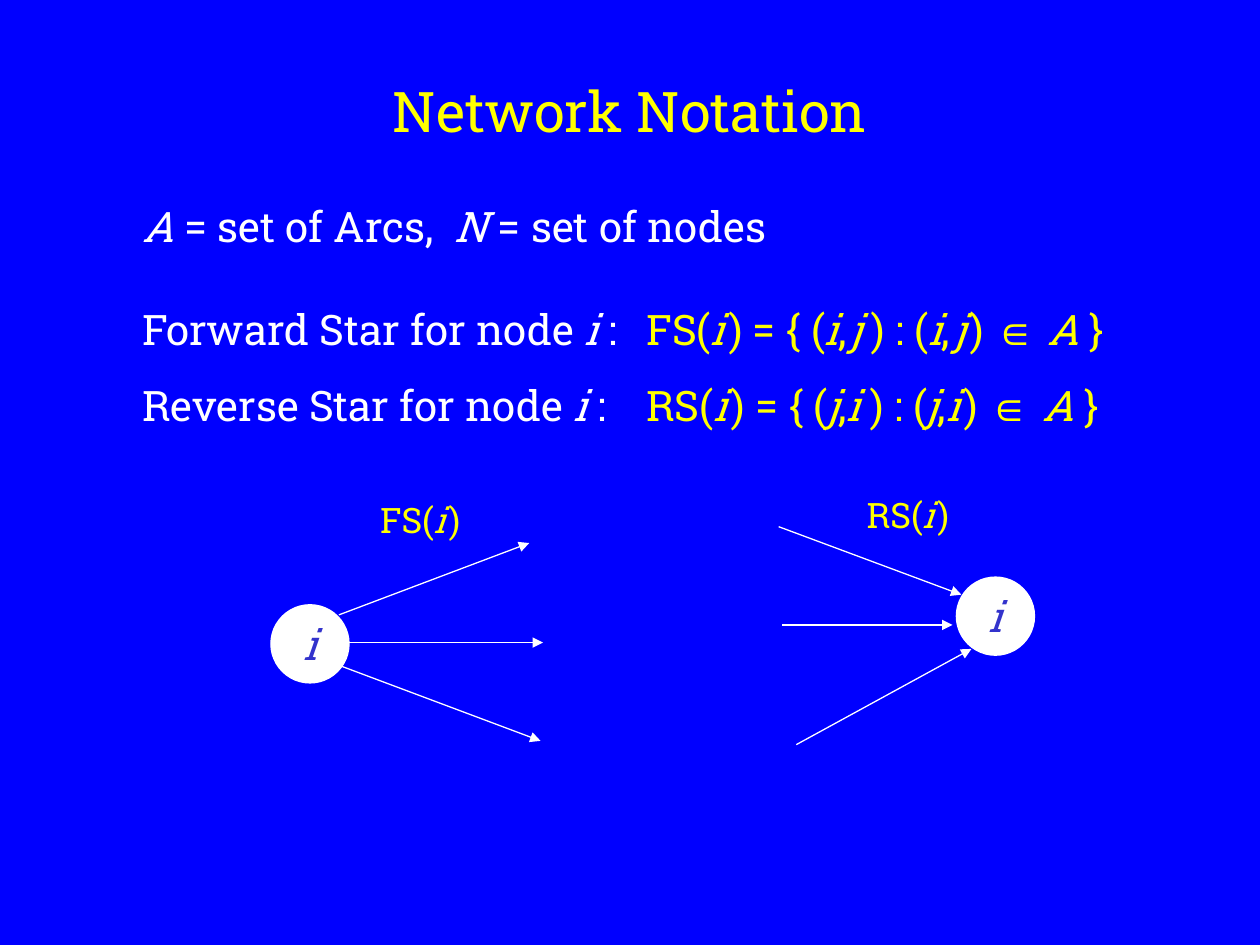
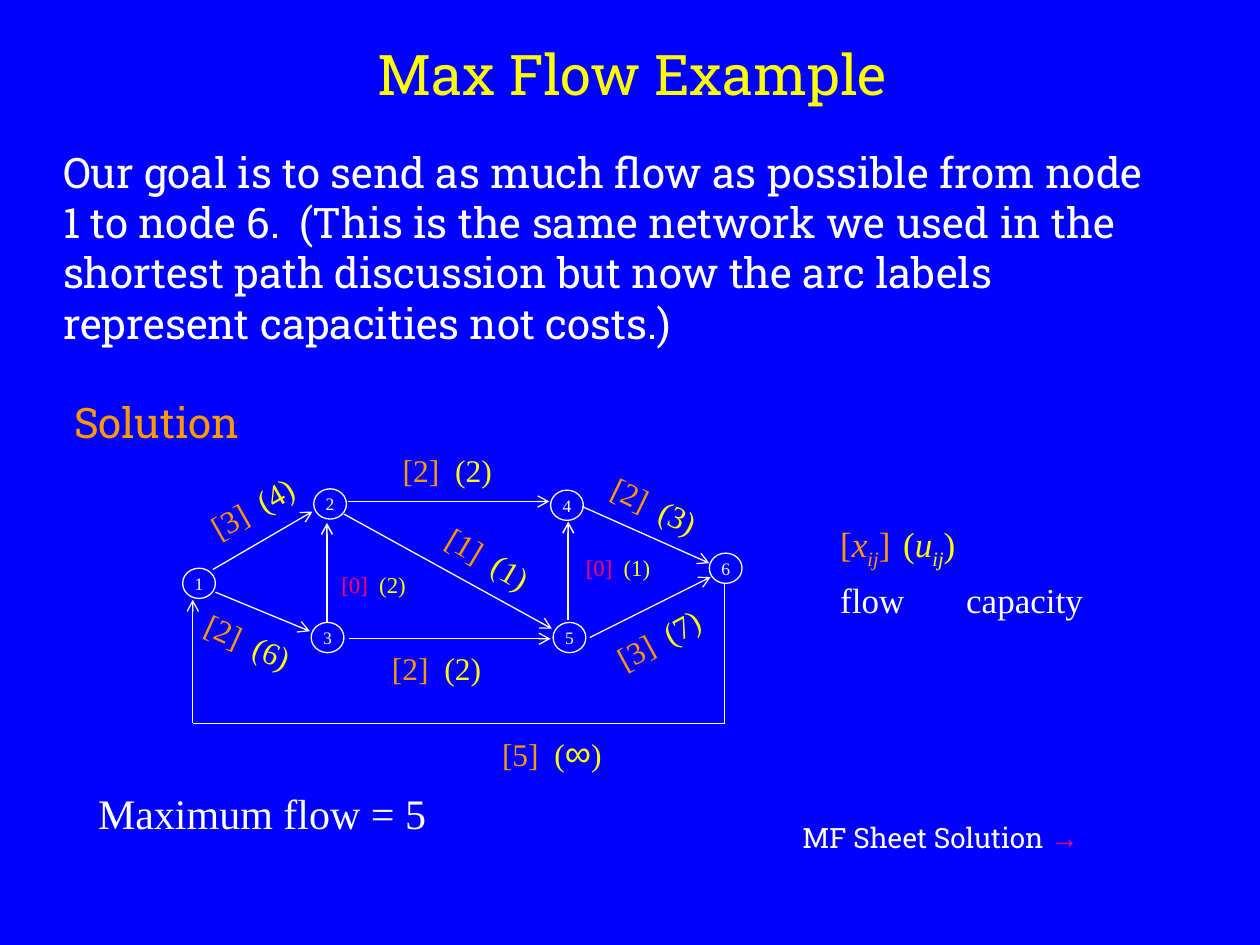
import pptx
import pptx.util
import pptx.dml.color
import pptx.enum.shapes
import pptx.enum.text
import pptx.oxml.ns
import lxml.etree

HUES = {"blue": "0000FF", "white": "FFFFFF", "gold": "FFFF00",
        "orange": "FF9900", "pink": "FF0066", "ink": "3333CC"}
RGB = {name: pptx.dml.color.RGBColor.from_string(code) for name, code in HUES.items()}
SLAB, TIMES, ARIAL = "Roboto Slab", "Times New Roman", "Arial"
MID = pptx.enum.text.PP_ALIGN.CENTER
OVAL = pptx.enum.shapes.MSO_SHAPE.OVAL
STRAIGHT = pptx.enum.shapes.MSO_CONNECTOR.STRAIGHT
qn = pptx.oxml.ns.qn

deck = pptx.Presentation()
deck.slide_width = pptx.util.Inches(10)
deck.slide_height = pptx.util.Inches(7.5)
# The grid has 20 columns and 15 rows of square cells.
CELL = deck.slide_width // 20


def fill(shape, at, lines, size, font=SLAB, align=None, gap=0, stops=(), wrap=True):
    """Place a shape on the grid and write lines of (text, hue, size, font) parts.

    Underscores in a text switch italics on and off.
    """
    shape.left, shape.top, shape.width, shape.height = [int(CELL * v) for v in at]
    frame = shape.text_frame
    frame.word_wrap = wrap
    frame.auto_size = pptx.enum.text.MSO_AUTO_SIZE.NONE
    for row, parts in enumerate(lines):
        para = frame.add_paragraph() if row else frame.paragraphs[0]
        props = para._p.get_or_add_pPr()
        props.set("marL", "0")
        props.set("indent", "0")
        lxml.etree.SubElement(props, qn("a:buNone"))
        if row < len(stops) and stops[row]:
            tabs = lxml.etree.SubElement(props, qn("a:tabLst"))
            lxml.etree.SubElement(tabs, qn("a:tab"), pos=str(int(CELL * stops[row])), algn="l")
        para.space_before = pptx.util.Pt(gap if row else 0)
        if align:
            para.alignment = align
        for text, hue, *own in parts:
            for turn, bit in enumerate(text.split("_")):
                if bit:
                    run = para.add_run()
                    run.text = bit
                    run.font.size = pptx.util.Pt(own[0] if own else size)
                    run.font.name = own[1] if len(own) > 1 else font
                    run.font.italic = turn % 2 == 1
                    run.font.color.rgb = RGB[hue]
    return frame


def link(page, ends, head=None, width=0.75):
    wire = page.shapes.add_connector(STRAIGHT, *[int(CELL * v) for v in ends])
    wire.line.color.rgb = RGB["white"]
    wire.line.width = pptx.util.Pt(width)
    if head:
        lxml.etree.SubElement(wire.line._get_or_add_ln(), qn("a:tailEnd"), type=head)
    lxml.etree.SubElement(wire._element.spPr, qn("a:effectLst"))


# Shared background, titles and circles
back = deck.slide_master.background.fill
back.solid()
back.fore_color.rgb = RGB["blue"]

TITLES = [("Network Notation", (1.5, 0.94, 17, 1.62)),
          ("Max Flow Example", (1.54, 0.48, 17, 1.36))]
# Each circle: centre column, centre row, label
CIRCLES = [
    [(4.92, 10.22, "_i_"), (15.8, 9.78, "_i_")],
    [(3.16, 9.26, "1"), (5.24, 8, "2"), (5.2, 10.12, "3"),
     (9, 8.02, "4"), (9.04, 10.12, "5"), (11.52, 9.02, "6")],
]
# Look of the circles: width, height, fill, text hue, size, font
LOOKS = [(1.24, 1.24, "white", "ink", 24, SLAB),
         (0.52, 0.48, "blue", "white", 10, TIMES)]
pages = []
for (title, at), spots, look in zip(TITLES, CIRCLES, LOOKS):
    page = deck.slides.add_slide(deck.slide_layouts[1])
    pages.append(page)
    fill(page.shapes.title, at, [[(title, "gold")]], 32, align=MID)
    wide, high, tint, hue, size, font = look
    for x, y, name in spots:
        node = page.shapes.add_shape(OVAL, 0, 0, 0, 0)
        node.shadow.inherit = False
        node.fill.solid()
        node.fill.fore_color.rgb = RGB[tint]
        node.line.color.rgb = RGB["white"]
        node.line.width = pptx.util.Pt(0.75)
        fill(node, (x - wide / 2, y - high / 2, wide, high), [[(name, hue)]],
             size, font, MID, wrap=False)
stars, flow = pages

# Network Notation
lines = [[("_A_ = set of Arcs,  _N_ = set of nodes", "white")]]
for kind, short, arc, thin in [("Forward", "FS", "_i_,| _j _", 10),
                               ("Reverse", "RS", "_j_,|_i _", 0)]:
    first, last = arc.split("|")
    space = [(" ", "gold", thin)] if thin else []
    lines.append(
        [(f"{kind} Star for node _i _:\t", "white"), (f"{short}(_i_", "gold"),
         (" ", "gold", 12), (f") = {{ ({first}", "gold"), *space,
         (last.lstrip(), "gold"), (f") : ({first}", "gold"), *space,
         (last.strip().replace(" ", ""), "gold"), (" ", "gold", 12), (") ", "gold"),
         ("∈ ", "gold", 24, ARIAL), ("_A_ }", "gold")])
frame = fill(stars.placeholders[1], (2.06, 3.08, 16.82, 3.86), lines, 24,
             gap=15, stops=(0, 7.86, 7.86))
frame.paragraphs[0].space_after = pptx.util.Pt(15)

for ends in [(5.38, 9.76, 8.4, 8.62), (5.5, 10.2, 8.62, 10.2), (5.38, 10.56, 8.58, 11.76),
             (12.36, 8.36, 15.26, 9.44), (12.42, 9.92, 15.12, 9.92),
             (12.64, 11.82, 15.42, 10.3)]:
    link(stars, ends, "triangle")

for short, x, y in [("FS", 5.6, 7.82), ("RS", 13.34, 7.74)]:
    fill(stars.shapes.add_textbox(0, 0, 0, 0), (x, y, 2.14, 0.88),
         [[(f"{short}(_i_", "gold"), (" ", "gold", 10), (")", "gold")]], 20, align=MID)

# Max Flow Example
fill(flow.placeholders[1], (0.8, 2.22, 17.82, 3.4),
     [[("Our goal is to send as much flow as possible from node 1 to node 6.", "white"),
       ("  ", "white", 22),
       ("(This is the same network we used in the shortest path discussion "
        "but now the arc labels represent capacities not costs.)", "white")]], 24)

for ends in [(3.42, 9.4, 4.92, 10.02), (3.38, 9.04, 4.96, 8.12), (5.52, 7.96, 8.72, 7.96),
             (5.46, 8.16, 8.76, 9.98), (9.24, 8.04, 11.26, 8.94),
             (5.54, 10.14, 8.74, 10.14), (9.36, 10.12, 11.28, 9.16)]:
    link(flow, ends, "arrow")
for ends in [(9.02, 9.84, 9.02, 8.28), (5.19, 9.88, 5.19, 8.3)]:
    link(flow, ends, "arrow", 0.88)

# Return arc from node 6 to node 1
bends = [(11.5, 9.26), (11.5, 11.48), (3.06, 11.48), (3.06, 9.52)]
for start, end in zip(bends, bends[1:]):
    link(flow, start + end, "arrow" if end == bends[-1] else None)

# Arc labels: centre column, centre row, turn, flow, capacity
for x, y, turn, sent, cap in [
        (7.1, 7.46, 0, 2, "2"), (10.45, 10.14, -28.6, 3, "7"),
        (10.39, 8.02, 25.7, 2, "3"), (6.93, 10.6, 0, 2, "2"),
        (7.75, 8.86, 30.7, 1, "1"), (4, 8.06, -29.6, 3, "4"),
        (3.94, 10.18, 24.3, 2, "6"), (8.76, 11.93, 0, 5, "∞"),
        (9.81, 9, 0, 0, "1"), (5.93, 9.28, 0, 0, "2")]:
    tag = flow.shapes.add_textbox(0, 0, 0, 0)
    own = (21, ARIAL) if cap == "∞" else ()
    frame = fill(tag, (x - 1, y - 0.4, 2, 0.8),
                 [[(f"[{sent}]  ", "orange" if sent else "pink"),
                   ("(", "gold"), (cap, "gold", *own), (")", "gold")]],
                 18 if sent else 13, TIMES, MID, wrap=False)
    frame.vertical_anchor = pptx.enum.text.MSO_ANCHOR.MIDDLE
    tag.rotation = turn

# Legend
frame = fill(flow.shapes.add_textbox(0, 0, 0, 0), (13.14, 8.04, 4.3, 1.8),
             [[("[_xij_]\t".replace("ij", "__ij"), "orange"),
               ("(_u__ij_)", "gold")], [("flow\tcapacity", "white")]],
             20, TIMES, stops=(2, 1.58))
for para in frame.paragraphs:
    para.line_spacing = 1.2
    for run in para.runs:
        if run.text == "ij":
            run.font.italic = True
            run.font._element.set("baseline", "-25000")

# Notes around the network
for at, parts, size, font in [
        ((0.98, 6.2, 3.48, 1), [("Solution", "orange")], 24, SLAB),
        ((1.36, 12.4, 6.06, 1.04), [("Maximum flow = 5", "white")], 24, TIMES),
        ((12.54, 12.92, 5.26, 0.74),
         [("MF Sheet Solution ", "white"), ("→", "pink", 16, ARIAL)], 16, SLAB)]:
    fill(flow.shapes.add_textbox(0, 0, 0, 0), at, [parts], size, font)

deck.save("out.pptx")
